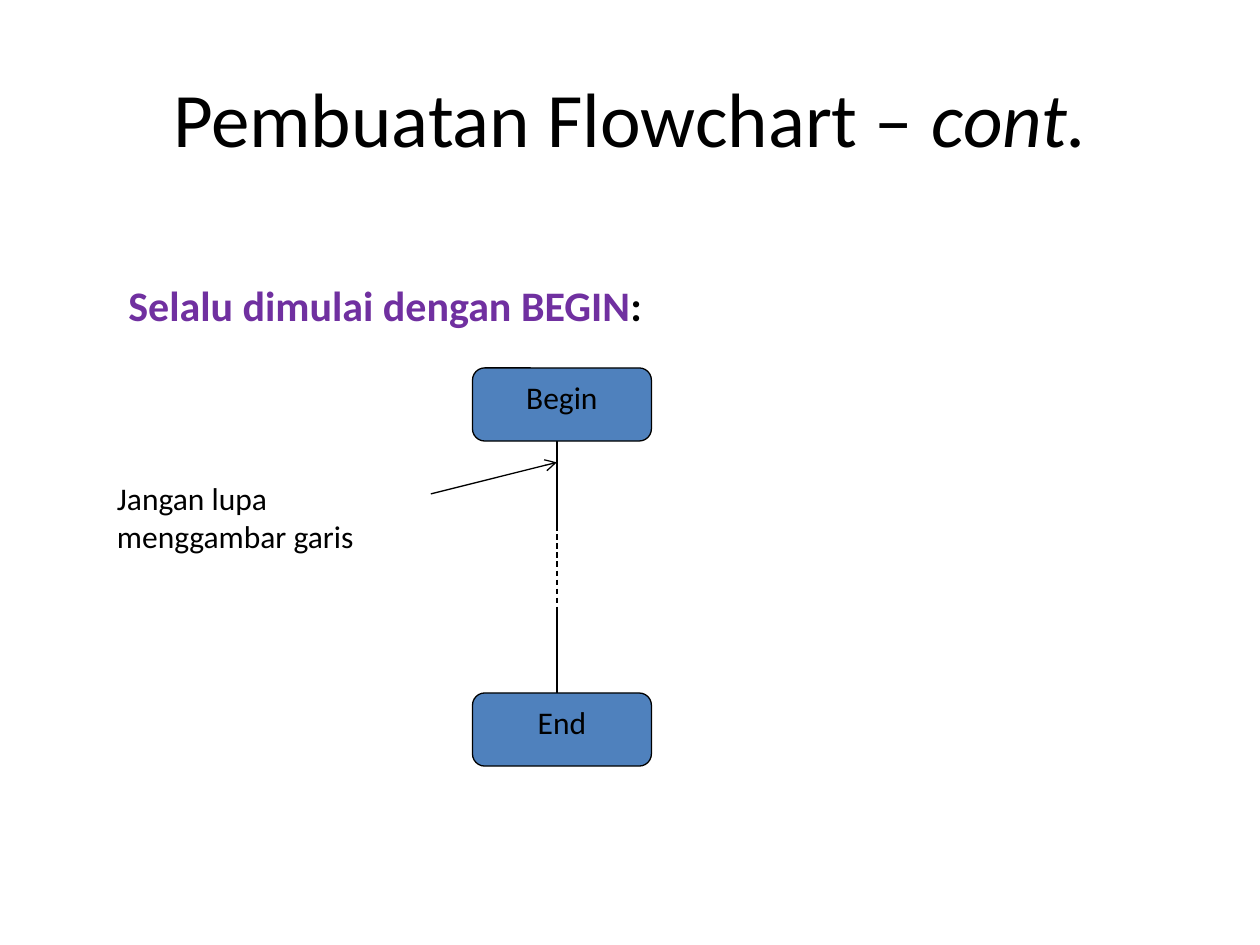
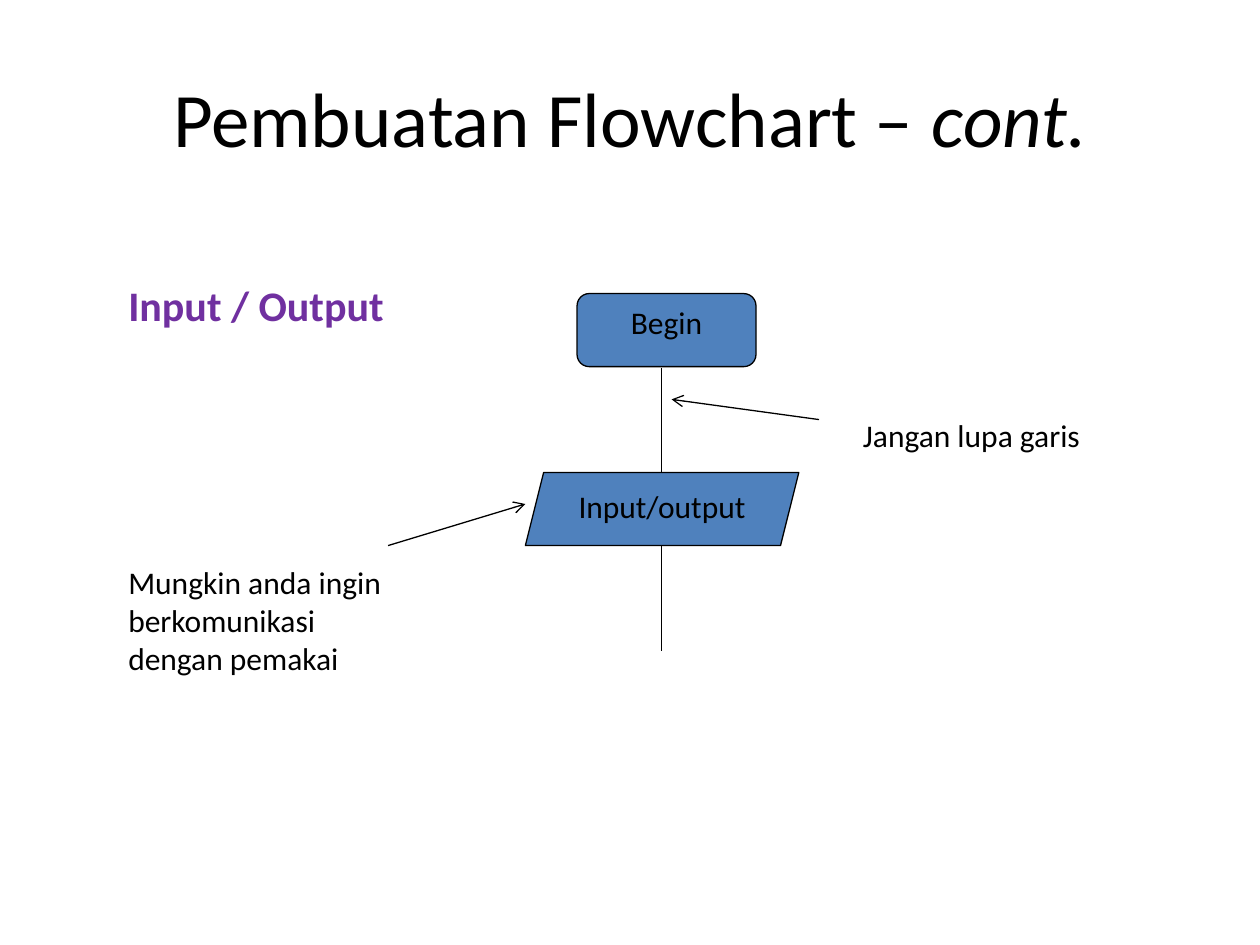
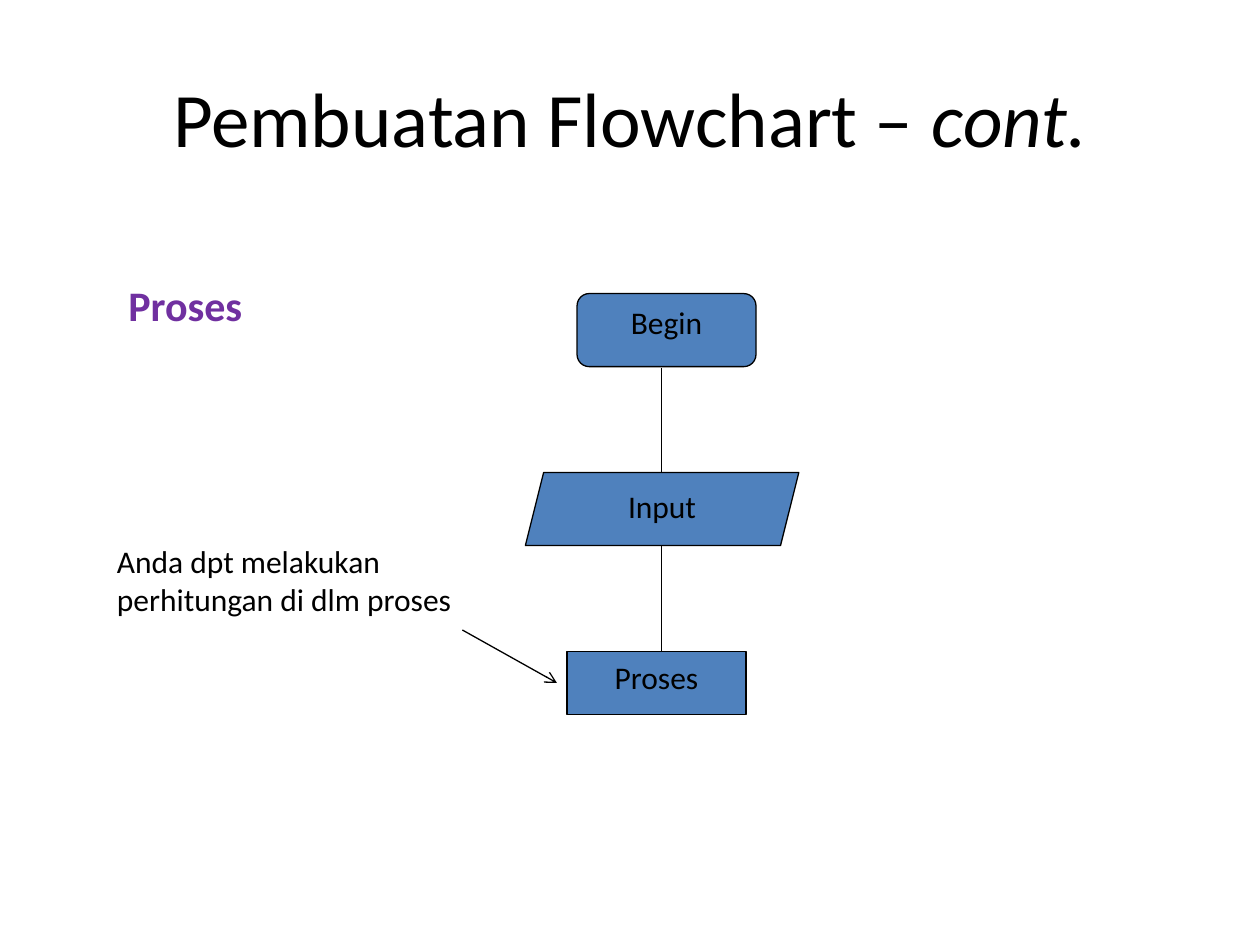
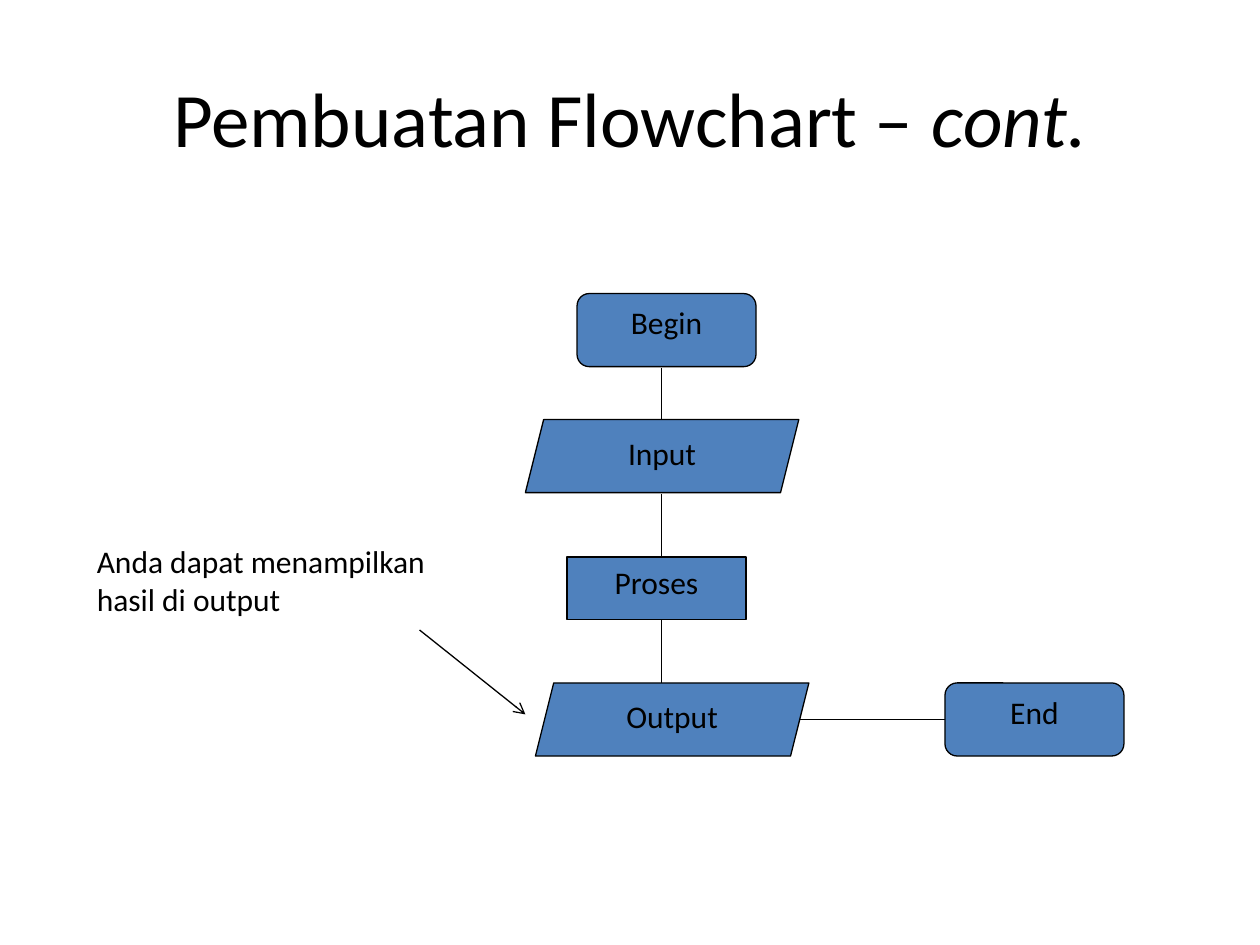
from pptx import Presentation
from pptx.dml.color import RGBColor
from pptx.enum.dml import MSO_LINE
from pptx.enum.shapes import MSO_CONNECTOR, MSO_SHAPE
from pptx.enum.text import MSO_ANCHOR, MSO_AUTO_SIZE, PP_ALIGN
from pptx.oxml.ns import qn
from pptx.util import Inches, Pt
from lxml import etree

BLACK = RGBColor(0x00, 0x00, 0x00)
BLUE = RGBColor(0x4F, 0x81, 0xBD)
PURPLE = RGBColor(0x70, 0x30, 0xA0)
FONT = "Calibri"
LINE_WIDTH = Pt(0.75)

TERMINAL = (MSO_SHAPE.ROUNDED_RECTANGLE, 1.42, 0.58)
DATA = (MSO_SHAPE.PARALLELOGRAM, 2.17, 0.58)
PROCESS = (MSO_SHAPE.RECTANGLE, 1.42, 0.5)
STRAIGHT = MSO_CONNECTOR.STRAIGHT
DASH = MSO_LINE.DASH
TOP, MIDDLE = MSO_ANCHOR.TOP, MSO_ANCHOR.MIDDLE
CENTER = PP_ALIGN.CENTER
FIT_SHAPE = MSO_AUTO_SIZE.SHAPE_TO_FIT_TEXT

# steps: (symbol, left, top, label); links and arrows: (x1, y1, x2, y2)
# notes: (left, top, width, height, text)
SLIDES = [
    {
        "heading": (5.02, ["Selalu dimulai dengan BEGIN", ":"]),
        "steps": [(TERMINAL, 3.75, 2.92, "Begin"), (TERMINAL, 3.75, 5.5, "End")],
        "links": [(4.42, 3.5, 4.42, 4.17), (4.42, 4.83, 4.42, 5.5)],
        "dashes": [(4.42, 4.17, 4.42, 4.83)],
        "notes": [(0.83, 3.75, 2.31, 0.71, "Jangan lupa\nmenggambar garis")],
        "arrows": [(3.42, 3.92, 4.42, 3.67)],
    },
    {
        "heading": (2.4, ["Input / Output"]),
        "steps": [(TERMINAL, 4.58, 2.33, "Begin"), (DATA, 4.17, 3.75, "Input/output")],
        "links": [(5.25, 2.92, 5.25, 3.75), (5.25, 4.33, 5.25, 5.17)],
        "notes": [
            (6.75, 3.25, 2.19, 0.4, "Jangan lupa garis"),
            (0.92, 4.42, 2.46, 1.01, "Mungkin anda ingin\nberkomunikasi\ndengan pemakai"),
        ],
        "arrows": [(6.5, 3.33, 5.33, 3.17), (3.08, 4.33, 4.17, 4)],
    },
    {
        "heading": (1.33, ["Proses"]),
        "steps": [
            (TERMINAL, 4.58, 2.33, "Begin"),
            (DATA, 4.17, 3.75, "Input"),
            (PROCESS, 4.5, 5.17, "Proses"),
        ],
        "links": [(5.25, 2.92, 5.25, 3.75), (5.25, 4.33, 5.25, 5.17)],
        "notes": [(0.83, 4.25, 3.1, 0.71, "Anda dpt melakukan\nperhitungan di dlm proses")],
        "arrows": [(3.67, 5, 4.42, 5.42)],
    },
    {
        "steps": [
            (TERMINAL, 4.58, 2.33, "Begin"),
            (DATA, 4.17, 3.33, "Input"),
            (PROCESS, 4.5, 4.42, "Proses"),
            (DATA, 4.25, 5.42, "Output"),
            (TERMINAL, 7.5, 5.42, "End"),
        ],
        "links": [(5.25, top, 5.25, top + 0.5) for top in (2.92, 3.92, 4.92)]
        + [(6.34, 5.71, 7.5, 5.71)],
        "notes": [(0.67, 4.25, 3.13, 0.71, "Anda dapat menampilkan\nhasil di output")],
        "arrows": [(3.33, 5, 4.17, 5.67)],
    },
]


def add_line(page, ends, dash=None, arrow=False):
    line = page.shapes.add_connector(STRAIGHT, *[Inches(value) for value in ends])
    line.line.color.rgb = BLACK
    line.line.width = LINE_WIDTH
    if dash:
        line.line.dash_style = dash
    if arrow:
        outline = line.line._get_or_add_ln()
        etree.SubElement(outline, qn("a:tailEnd"), type="arrow")
    etree.SubElement(line._element.spPr, qn("a:effectLst"))


def style_text(frame, size, color=BLACK, bold=False, align=None):
    for paragraph in frame.paragraphs:
        paragraph.alignment = align
        for span in paragraph.runs:
            span.font.name = FONT
            span.font.size = Pt(size)
            span.font.color.rgb = color
            span.font.bold = bold


deck = Presentation()
deck.slide_width, deck.slide_height = Inches(10), Inches(7.5)
title_only = deck.slide_layouts[5]

for content in SLIDES:
    page = deck.slides.add_slide(title_only)
    title = page.shapes.title
    title.left, title.top = Inches(0.5), Inches(0.3)
    title.width, title.height = Inches(9), Inches(1.25)
    title.text_frame.text = "Pembuatan Flowchart – "
    title.text_frame.vertical_anchor = MIDDLE
    suffix = title.text_frame.paragraphs[0].add_run()
    suffix.text = "cont."
    suffix.font.italic = True
    style_text(title.text_frame, 44, align=CENTER)

    for ends in content["links"]:
        add_line(page, ends)
    for ends in content.get("dashes", []):
        add_line(page, ends, dash=DASH)

    for (symbol, width, height), left, top, label in content["steps"]:
        step = page.shapes.add_shape(
            symbol, Inches(left), Inches(top), Inches(width), Inches(height))
        step.shadow.inherit = False
        step.fill.solid()
        step.fill.fore_color.rgb = BLUE
        step.line.color.rgb = BLACK
        step.line.width = LINE_WIDTH
        step.text_frame.text = label
        step.text_frame.vertical_anchor = TOP
        style_text(step.text_frame, 18, align=CENTER)

    for left, top, width, height, text in content["notes"]:
        note = page.shapes.add_textbox(
            Inches(left), Inches(top), Inches(width), Inches(height))
        note.text_frame.text = text
        note.text_frame.word_wrap = False
        note.text_frame.auto_size = FIT_SHAPE
        style_text(note.text_frame, 18)

    for ends in content["arrows"]:
        add_line(page, ends, arrow=True)

    if "heading" in content:
        width, parts = content["heading"]
        heading = page.shapes.add_textbox(
            Inches(0.92), Inches(2.17), Inches(width), Inches(0.51))
        heading.text_frame.word_wrap = False
        heading.text_frame.auto_size = FIT_SHAPE
        paragraph = heading.text_frame.paragraphs[0]
        for part in parts:
            paragraph.add_run().text = part
        style_text(heading.text_frame, 24, PURPLE, bold=True)
        for colon in paragraph.runs[1:]:
            colon.font.color.rgb = BLACK

deck.save("out.pptx")
